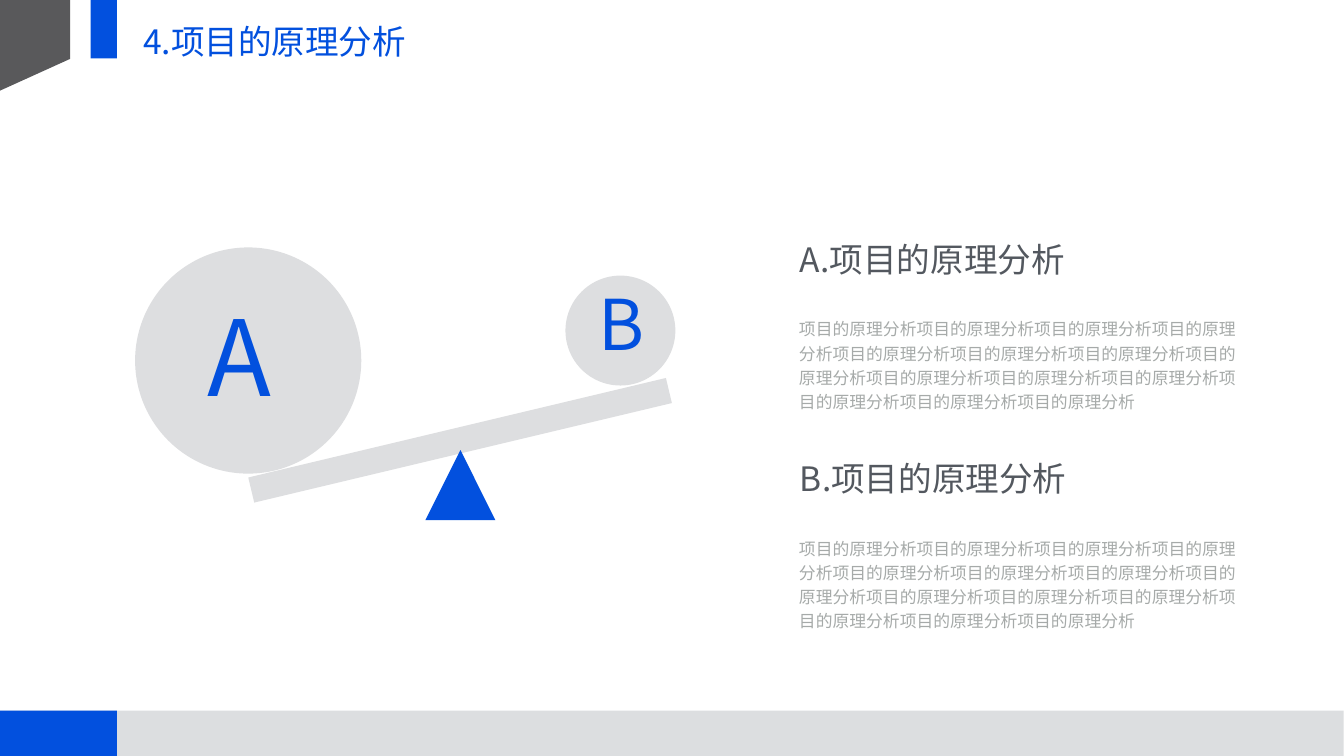
from dataclasses import dataclass

from lxml import etree
from pptx import Presentation
from pptx import util as u
from pptx.dml.color import RGBColor
from pptx.enum import shapes, text
from pptx.oxml import ns

FONT = "Noto Sans CJK SC"
BLUE = RGBColor(0x02, 0x50, 0xDE)
FOOTER_GRAY = RGBColor(0xDC, 0xDE, 0xE0)
SCALE_GRAY = RGBColor(0xDD, 0xDE, 0xE0)
CORNER_GRAY = RGBColor(0x59, 0x59, 0x5B)
HEADING_GRAY = RGBColor(0x53, 0x58, 0x5F)
BODY_GRAY = RGBColor(0xA6, 0xAA, 0xA9)

RECTANGLE = shapes.MSO_SHAPE.RECTANGLE
OVAL = shapes.MSO_SHAPE.OVAL
TRIANGLE = shapes.MSO_SHAPE.ISOSCELES_TRIANGLE

TOPIC = "项目的原理分析"
SECTION_LEFT = 40.07
SECTION_TOP = 11.79
SECTION_PITCH = 11.04
BODY_OFFSET = 3.81


@dataclass
class Block:
    kind: shapes.MSO_SHAPE
    left: float
    top: float
    width: float
    height: float
    color: RGBColor
    rotation: float = 0


@dataclass
class Letter:
    label: str
    left: float
    top: float
    width: float
    height: float
    size: int


BLOCKS = [
    Block(RECTANGLE, 0, 35.81, 67.72, 2.34, FOOTER_GRAY),
    Block(RECTANGLE, 0, 35.81, 5.89, 2.34, BLUE),
    Block(RECTANGLE, 4.57, 0, 1.32, 2.95, BLUE),
    Block(OVAL, 6.81, 12.47, 11.4, 11.4, SCALE_GRAY),
    Block(OVAL, 28.5, 13.89, 5.54, 5.54, SCALE_GRAY),
    Block(RECTANGLE, 12.37, 21.54, 21.64, 1.3, SCALE_GRAY, -13.4),
    Block(TRIANGLE, 21.44, 22.68, 3.53, 3.53, BLUE),
]
LETTERS = [
    Letter("A", 10.21, 14.43, 4.62, 7.49, 150),
    Letter("B", 29.92, 13.89, 3.1, 5.16, 100),
]


def paint(shape, color: RGBColor) -> None:
    shape.shadow.inherit = False
    shape.fill.solid()
    shape.fill.fore_color.rgb = color
    shape.line.fill.background()


def draw_block(slide, block: Block) -> None:
    shape = slide.shapes.add_shape(block.kind, u.Cm(block.left), u.Cm(block.top),
                                   u.Cm(block.width), u.Cm(block.height))
    shape.rotation = block.rotation
    paint(shape, block.color)


def draw_corner(slide) -> None:
    builder = slide.shapes.build_freeform(0, 0)
    points = [(0, 4.57), (3.53, 2.97), (3.53, 0)]
    builder.add_line_segments([(u.Cm(x), u.Cm(y)) for x, y in points], close=True)
    paint(builder.convert_to_shape(), CORNER_GRAY)


def place(shape, left: float, top: float, width: float, height: float) -> None:
    shape.left, shape.top = u.Cm(left), u.Cm(top)
    shape.width, shape.height = u.Cm(width), u.Cm(height)


def write(shape, content: str, *, size: int, color: RGBColor, inset: float = 0.25,
          anchor=text.MSO_ANCHOR.TOP, line_spacing: float = 1.0, number: int = 0) -> None:
    frame = shape.text_frame
    frame.word_wrap = True
    frame.auto_size = text.MSO_AUTO_SIZE.NONE
    frame.vertical_anchor = anchor
    frame.margin_left = frame.margin_right = u.Cm(inset)
    frame.margin_top = frame.margin_bottom = u.Cm(inset)
    paragraph = frame.paragraphs[0]
    paragraph.alignment = text.PP_ALIGN.LEFT
    paragraph.line_spacing = line_spacing
    paragraph.space_before = u.Pt(0)
    set_bullet(paragraph, color, number)
    run = paragraph.add_run()
    run.text = content
    run.font.name = FONT
    run.font.size = u.Pt(size)
    run.font.bold = False
    run.font.color.rgb = color
    etree.SubElement(run.font._element, ns.qn("a:ea"), typeface=FONT)


def set_bullet(paragraph, color: RGBColor, number: int) -> None:
    properties = paragraph._p.get_or_add_pPr()
    indent = u.Cm(0.64) if number else 0
    properties.set("marL", str(indent))
    properties.set("indent", str(-indent))
    if not number:
        etree.SubElement(properties, ns.qn("a:buNone"))
        return
    bullet_color = etree.SubElement(properties, ns.qn("a:buClr"))
    etree.SubElement(bullet_color, ns.qn("a:srgbClr"), val=str(color))
    etree.SubElement(properties, ns.qn("a:buFont"), typeface=FONT)
    etree.SubElement(properties, ns.qn("a:buAutoNum"), type="alphaUcPeriod",
                     startAt=str(number))


def draw_letter(slide, letter: Letter) -> None:
    box = slide.shapes.add_textbox(u.Cm(letter.left), u.Cm(letter.top),
                                   u.Cm(letter.width), u.Cm(letter.height))
    write(box, letter.label, size=letter.size, color=BLUE)


def fill_section(heading, body, number: int) -> None:
    top = SECTION_TOP + (number - 1) * SECTION_PITCH
    place(heading, SECTION_LEFT, top, 14, 2.77)
    write(heading, TOPIC, size=48, color=HEADING_GRAY, number=number)
    place(body, SECTION_LEFT, top + BODY_OFFSET, 22.48, 5.44)
    write(body, TOPIC * 14, size=24, color=BODY_GRAY, inset=0.2,
          anchor=text.MSO_ANCHOR.MIDDLE, line_spacing=1.2)


def main() -> None:
    presentation = Presentation()
    presentation.slide_width, presentation.slide_height = u.Cm(67.74), u.Cm(38.1)
    comparison_layout = presentation.slide_layouts[4]
    slide = presentation.slides.add_slide(comparison_layout)

    title, *section_parts = slide.placeholders
    place(title, 6.96, 0.81, 14, 2.77)
    write(title, "4." + TOPIC, size=48, color=BLUE)
    for number, (heading, body) in enumerate(
            zip(section_parts[::2], section_parts[1::2]), start=1):
        fill_section(heading, body, number)

    draw_corner(slide)
    for block in BLOCKS:
        draw_block(slide, block)
    for letter in LETTERS:
        draw_letter(slide, letter)

    presentation.save("out.pptx")


if __name__ == "__main__":
    main()
